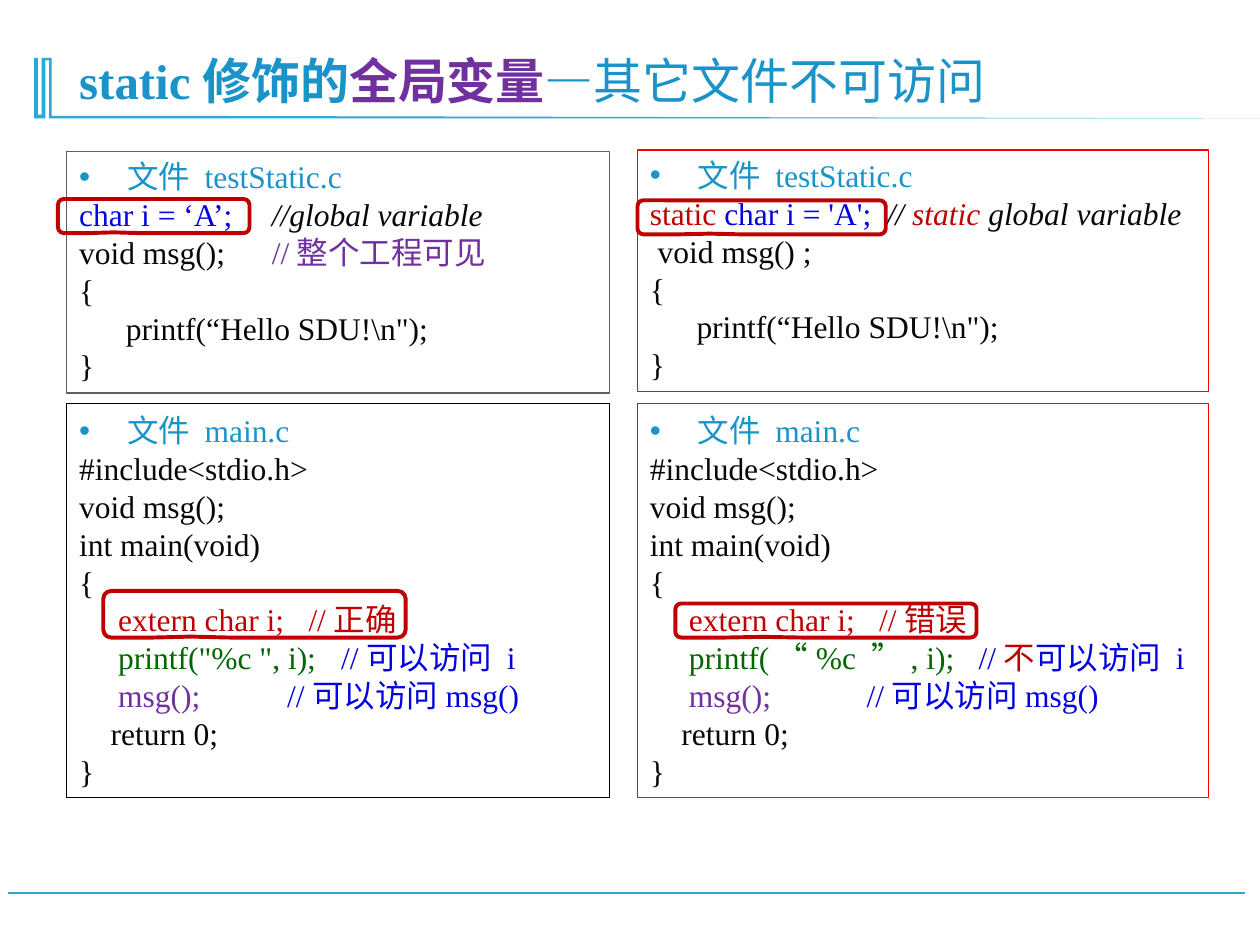
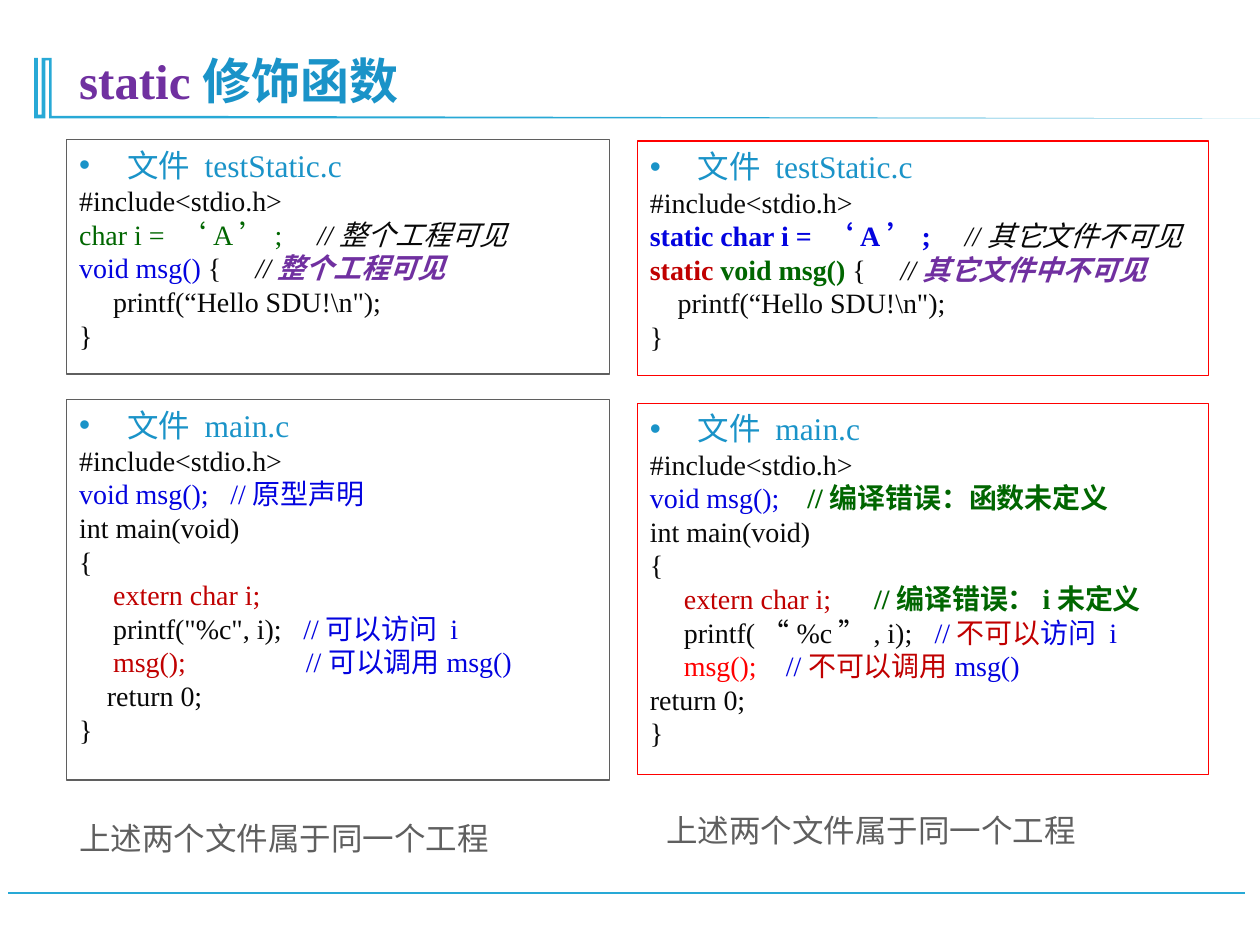
from lxml import etree
from pptx import Presentation
from pptx.dml.color import RGBColor
from pptx.enum.shapes import MSO_CONNECTOR, MSO_SHAPE
from pptx.enum.text import MSO_ANCHOR
from pptx.oxml.ns import qn
from pptx.util import Inches, Pt

COLORS = {
    "sky": "1A93C8", "band": "28A9D6", "purple": "7030A0", "blue": "0303DF",
    "ink": "080808", "crimson": "C00000", "green": "006600", "red": "FF0000",
    "gray": "5F5F5F", "black": "000000",
}
CODE_FONT, NOTE_FONT = "Times New Roman", "Arial"
HEADING_SIZE, TITLE_SIZE = 18, 28
LINE_PITCH = 1.2
BULLET_INDENT = 0.38
COLUMNS = {"left": (0.53, 4.31), "right": (5.06, 4.53)}
TITLE_BOX = (0.53, 0.28, 8.85, 0.64)
FOOTER_Y, FOOTER_START, FOOTER_END = 7.09, 0.06, 9.88
BAND_OUTLINE = [
    (0.41, 0.46), (0.41, 0.92), (1.4, 0.92), (10.09, 0.94), (0.39, 0.94),
    (0.39, 0.48), (0.36, 0.48), (0.36, 0.94), (0.27, 0.94), (0.27, 0.46),
    (0.3, 0.46), (0.3, 0.91), (0.33, 0.91), (0.33, 0.46),
]

# A code line is (tab stops in inches, (style, text), ...).
# A style is a colour name, optionally followed by "bold" and "italic".
BRACE_OPEN = ((), ("ink", "{"))
BRACE_CLOSE = ((), ("ink", "}"))
INCLUDE = ((), ("ink", "#include<stdio.h>"))
MAIN = ((), ("ink", "int main(void)"))
HELLO = "\tprintf(“Hello SDU!\\n\");"
RETURN = "\treturn 0;"

SLIDES = [
    {
        "title": [("sky bold", "static修饰的"), ("purple bold", "全局变量"),
                  ("sky bold", "—"), ("sky", "其它文件不可访问")],
        "code_size": 18,
        "panels": [
            {"column": "left", "top": 1.2, "height": 1.92, "border": "gray",
             "file": "testStatic.c", "code": [
                 ((1.53,), ("blue", "char i = ‘A’;\t"),
                  ("ink italic", "//global variable")),
                 ((1.53,), ("ink", "void msg();\t"), ("purple", "//整个工程可见")),
                 BRACE_OPEN,
                 ((0.37,), ("ink", HELLO)),
                 BRACE_CLOSE]},
            {"column": "right", "top": 1.19, "height": 1.92, "border": "red",
             "file": "testStatic.c", "code": [
                 ((1.88,), ("crimson", "static "), ("blue", "char i = 'A';\t"),
                  ("ink italic", "// "), ("crimson italic", "static"),
                  ("ink italic", " global variable")),
                 ((), ("ink", " void msg() ;")),
                 BRACE_OPEN,
                 ((0.37,), ("ink", HELLO)),
                 BRACE_CLOSE]},
            {"column": "right", "top": 3.2, "height": 3.13, "border": "red",
             "anchor": MSO_ANCHOR.MIDDLE, "file": "main.c", "code": [
                 INCLUDE,
                 ((), ("ink", "void msg();")),
                 MAIN,
                 BRACE_OPEN,
                 ((0.31, 1.82), ("crimson", "\textern char i;\t//错误")),
                 ((0.31, 2.61), ("green", "\tprintf(“%c ”, i);\t"),
                  ("blue", "//"), ("crimson", "不"), ("blue", "可以访问 i")),
                 ((0.31, 1.72), ("purple", "\tmsg();\t"),
                  ("blue", "//可以访问msg()")),
                 ((0.25,), ("ink", RETURN)),
                 BRACE_CLOSE]},
            {"column": "left", "top": 3.2, "height": 3.13, "border": "black",
             "anchor": MSO_ANCHOR.MIDDLE, "file": "main.c", "code": [
                 INCLUDE,
                 ((), ("ink", "void msg();")),
                 MAIN,
                 BRACE_OPEN,
                 ((0.31, 1.82), ("crimson", "\textern char i;\t//正确")),
                 ((0.31, 2.08), ("green", "\tprintf(\"%c \", i);\t"),
                  ("blue", "//可以访问 i")),
                 ((0.31, 1.65), ("purple", "\tmsg();\t"),
                  ("blue", "//可以访问msg()")),
                 ((0.25,), ("ink", RETURN)),
                 BRACE_CLOSE]},
        ],
        "highlights": [(5.06, 1.59, 1.97, 0.27), (5.36, 4.79, 2.39, 0.27),
                       (0.46, 1.58, 1.52, 0.27), (0.82, 4.69, 2.4, 0.37)],
        "notes": [],
    },
    {
        "title": [("purple bold", "static"), ("sky bold", "修饰函数")],
        "code_size": 16,
        "panels": [
            {"column": "left", "top": 3.17, "height": 3.02, "border": "gray",
             "file": "main.c", "code": [
                 INCLUDE,
                 ((1.2,), ("blue", "void msg();\t//原型声明")),
                 MAIN,
                 BRACE_OPEN,
                 ((0.27,), ("crimson", "\textern char i;")),
                 ((0.27, 1.78), ("ink", "\tprintf(\"%c\", i);\t"),
                  ("blue", "//可以访问 i")),
                 ((0.27, 1.8), ("crimson", "\tmsg();\t"),
                  ("blue", "//可以调用msg()")),
                 ((0.22,), ("ink", RETURN)),
                 BRACE_CLOSE]},
            {"column": "left", "top": 1.11, "height": 1.86, "border": "gray",
             "file": "testStatic.c", "code": [
                 INCLUDE,
                 ((1.89,), ("green", "char i = ‘A’;\t"),
                  ("ink italic", "//整个工程可见")),
                 ((1.4,), ("blue", "void msg() "), ("ink", "{\t"),
                  ("ink italic", "//"), ("purple bold italic", "整个工程可见")),
                 ((0.27,), ("ink", HELLO)),
                 BRACE_CLOSE]},
            {"column": "right", "top": 1.12, "height": 1.86, "border": "red",
             "file": "testStatic.c", "code": [
                 INCLUDE,
                 ((2.5,), ("blue bold", "static char i = ‘A’;\t"),
                  ("ink italic", "//其它文件不可见")),
                 ((1.99,), ("crimson bold", "static "),
                  ("green bold", "void msg() "), ("ink", "{\t"),
                  ("ink italic", "//"), ("purple bold italic", "其它文件中不可见")),
                 ((0.22,), ("ink", HELLO)),
                 BRACE_CLOSE]},
            {"column": "right", "top": 3.2, "height": 2.95, "border": "red",
             "file": "main.c", "code": [
                 INCLUDE,
                 ((1.25,), ("blue", "void msg();\t"),
                  ("green bold", "//编译错误：函数未定义")),
                 MAIN,
                 BRACE_OPEN,
                 ((0.27, 1.78), ("crimson", "\textern char i;\t"),
                  ("green bold", "//编译错误：i未定义")),
                 ((0.27, 2.26), ("ink", "\tprintf(“%c”, i);\t"), ("blue", "//"),
                  ("crimson", "不可以"), ("blue", "访问 i")),
                 ((0.27, 1.08), ("red", "\tmsg();\t"), ("blue", "//"),
                  ("crimson", "不可以调用"), ("blue", "msg()")),
                 ((), ("ink", "return 0;")),
                 BRACE_CLOSE]},
        ],
        "highlights": [],
        "notes": [(0.53, 6.45, "上述两个文件属于同一个工程"),
                  (5.19, 6.39, "上述两个文件属于同一个工程")],
    },
]


def rgb(name):
    return RGBColor.from_string(COLORS[name])


def inches(*lengths):
    return [Inches(length) for length in lengths]


def write_runs(paragraph, runs, size, font=CODE_FONT):
    for style, text in runs:
        color, *effects = style.split()
        run = paragraph.add_run()
        run.text = text
        run.font.name, run.font.size = font, Pt(size)
        run.font.bold = "bold" in effects
        run.font.italic = "italic" in effects
        run.font.color.rgb = rgb(color)


def set_bullet(paragraph):
    properties = paragraph._p.get_or_add_pPr()
    properties.set("marL", str(Inches(BULLET_INDENT)))
    properties.set("indent", str(-Inches(BULLET_INDENT)))
    etree.SubElement(properties, qn("a:buFont"), typeface=NOTE_FONT)
    etree.SubElement(properties, qn("a:buChar"), char="•")


def set_tabs(paragraph, stops):
    if stops:
        tabs = etree.SubElement(paragraph._p.get_or_add_pPr(), qn("a:tabLst"))
        for stop in stops:
            etree.SubElement(tabs, qn("a:tab"), pos=str(Inches(stop)), algn="l")


def add_outlined(slide, preset, box, color, width):
    shape = slide.shapes.add_shape(preset, *inches(*box))
    shape.shadow.inherit = False
    shape.fill.background()
    shape.line.color.rgb, shape.line.width = rgb(color), Pt(width)
    return shape


def add_text(slide, box, runs, size, font=CODE_FONT):
    frame = slide.shapes.add_textbox(*inches(*box)).text_frame
    frame.word_wrap = True
    write_runs(frame.paragraphs[0], runs, size, font)
    return frame


def add_panel(slide, panel, code_size):
    left, width = COLUMNS[panel["column"]]
    box = (left, panel["top"], width, panel["height"])
    frame = add_outlined(slide, MSO_SHAPE.RECTANGLE, box, panel["border"], 0.75).text_frame
    frame.word_wrap = True
    frame.vertical_anchor = panel.get("anchor", MSO_ANCHOR.TOP)
    heading = ((), ("sky", f"文件 {panel['file']}"))
    for index, (stops, *runs) in enumerate([heading] + panel["code"]):
        paragraph = frame.add_paragraph() if index else frame.paragraphs[0]
        size = code_size if index else HEADING_SIZE
        paragraph.alignment = 1
        paragraph.line_spacing = Pt(LINE_PITCH * size)
        if index == 0:
            set_bullet(paragraph)
        set_tabs(paragraph, stops)
        write_runs(paragraph, runs, size)


def add_frame(slide):
    """Draw the footer rule and the title band that every slide carries."""
    rule = slide.shapes.add_connector(
        MSO_CONNECTOR.STRAIGHT, *inches(FOOTER_END, FOOTER_Y, FOOTER_START, FOOTER_Y))
    rule.line.color.rgb, rule.line.width = rgb("band"), Pt(1.25)
    etree.SubElement(rule._element.spPr, qn("a:effectLst"))
    start, *others = [inches(*point) for point in BAND_OUTLINE]
    builder = slide.shapes.build_freeform(*start)
    builder.add_line_segments(others, close=True)
    band = builder.convert_to_shape()
    band.shadow.inherit = False
    band.fill.solid()
    band.fill.fore_color.rgb = rgb("band")
    band.line.fill.background()


def add_slide(deck, content):
    slide = deck.slides.add_slide(deck.slide_layouts[6])
    add_frame(slide)
    title = add_text(slide, TITLE_BOX, content["title"], TITLE_SIZE)
    title.vertical_anchor = MSO_ANCHOR.BOTTOM
    title.paragraphs[0].line_spacing = 0.9
    for panel in content["panels"]:
        add_panel(slide, panel, content["code_size"])
    for box in content["highlights"]:
        callout = add_outlined(
            slide, MSO_SHAPE.ROUNDED_RECTANGULAR_CALLOUT, box, "crimson", 2.25)
        for index, value in enumerate((-0.21, 0.48, 0.17)):
            callout.adjustments[index] = value
    for left, top, note in content["notes"]:
        add_text(slide, (left, top, 3.55, 0.4), [("gray", note)], 18, NOTE_FONT)


def main():
    deck = Presentation()
    deck.slide_width, deck.slide_height = inches(10, 7.5)
    for content in SLIDES:
        add_slide(deck, content)
    deck.save("out.pptx")


if __name__ == "__main__":
    main()
